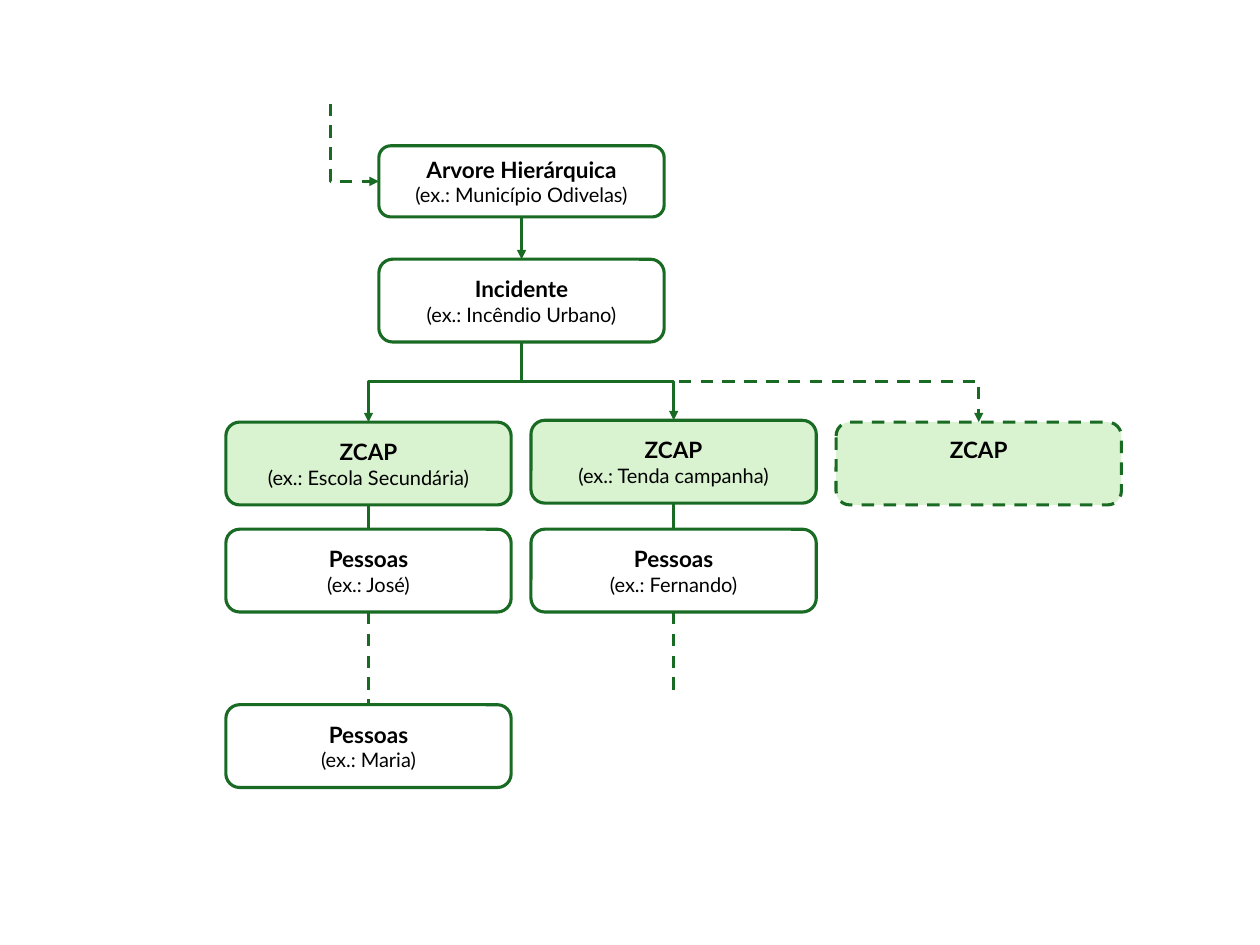
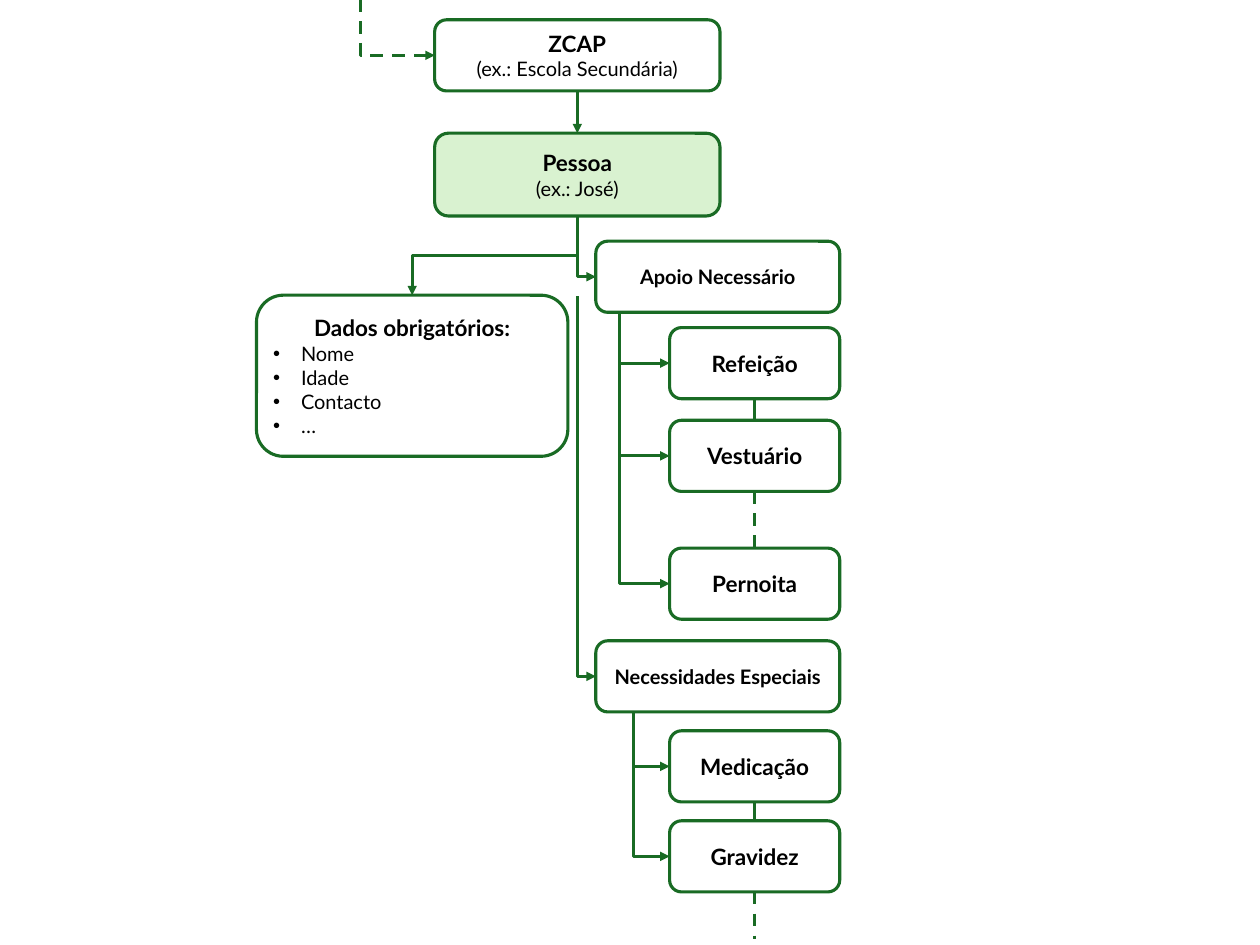
from itertools import pairwise

from lxml.etree import SubElement
from pptx import Presentation
from pptx.dml.color import RGBColor
from pptx.enum.dml import MSO_LINE
from pptx.enum.shapes import MSO_CONNECTOR as CONNECTOR, MSO_SHAPE as SHAPE
from pptx.enum.text import MSO_ANCHOR as ANCHOR, PP_ALIGN as ALIGN
from pptx.oxml.ns import qn
from pptx.util import Inches, Pt

COLORS = {"line": "196B24", "plain": "FFFFFF", "accent": "D9F2D0", "text": "000000"}
FONT = "Lato"
TITLE_SIZE, DETAIL_SIZE = 18, 16
LINE_WIDTH = 2.5
BOX_WIDTH, BOX_HEIGHT, LOW_HEIGHT = 3.17, 0.92, 0.79
TOP, BOTTOM = 0, 2


def point(x, y):
    return Inches(x), Inches(y)


def top_of(shape):
    return shape.left + shape.width // 2, shape.top


def bottom_of(shape):
    return shape.left + shape.width // 2, shape.top + shape.height


def left_of(shape):
    return shape.left, shape.top + shape.height // 2


class Diagram:
    """Draws the boxes and connectors of the tree on the current slide."""

    def __init__(self, presentation):
        self.presentation = presentation
        self.slide = None

    def new_slide(self):
        self.slide = self.presentation.slides.add_slide(self.presentation.slide_layouts[6])

    def style_line(self, line, dashed):
        line.color.rgb = RGBColor.from_string(COLORS["line"])
        line.width = Pt(LINE_WIDTH)
        if dashed:
            line.dash_style = MSO_LINE.DASH

    def add_text(self, paragraph, text, size, bold=False):
        run = paragraph.add_run()
        run.text = text
        run.font.name = FONT
        run.font.size = Pt(size)
        run.font.bold = bold
        run.font.color.rgb = RGBColor.from_string(COLORS["text"])

    def box(self, left, top, title, detail=None, width=BOX_WIDTH, height=BOX_HEIGHT,
            fill="plain", dashed=False, size=TITLE_SIZE):
        shape = self.slide.shapes.add_shape(
            SHAPE.ROUNDED_RECTANGLE, Inches(left), Inches(top), Inches(width), Inches(height))
        shape.shadow.inherit = False
        shape.fill.solid()
        shape.fill.fore_color.rgb = RGBColor.from_string(COLORS[fill])
        self.style_line(shape.line, dashed)
        frame = shape.text_frame
        frame.word_wrap = True
        frame.vertical_anchor = ANCHOR.MIDDLE
        paragraph = frame.paragraphs[0]
        paragraph.alignment = ALIGN.CENTER
        self.add_text(paragraph, title, size, bold=True)
        if detail:
            paragraph.add_line_break()
            self.add_text(paragraph, detail, DETAIL_SIZE)
        return shape

    def bullet(self, shape, text):
        paragraph = shape.text_frame.add_paragraph()
        paragraph.alignment = ALIGN.LEFT
        properties = paragraph._p.get_or_add_pPr()
        properties.set("marL", str(Inches(0.31)))
        properties.set("indent", str(-Inches(0.31)))
        SubElement(properties, qn("a:buFont"), typeface="Arial")
        SubElement(properties, qn("a:buChar"), char="•")
        self.add_text(paragraph, text, DETAIL_SIZE)

    def finish_connector(self, connector, dashed, arrow):
        self.style_line(connector.line, dashed)
        properties = connector.element.spPr
        if arrow:
            SubElement(properties.find(qn("a:ln")), qn("a:tailEnd"), type="triangle")
        SubElement(properties, qn("a:effectLst"))

    def straight(self, upper, lower=None, end=None, dashed=False, arrow=False):
        """Line from the bottom of a box to the top of another, or to a free point."""
        end = end or top_of(lower)
        connector = self.slide.shapes.add_connector(
            CONNECTOR.STRAIGHT, *bottom_of(upper), *end)
        connector.begin_connect(upper, BOTTOM)
        if lower is not None:
            connector.end_connect(lower, TOP)
        self.finish_connector(connector, dashed, arrow)

    def elbow(self, start, end, bend=None, dashed=False):
        """Arrow that leaves downwards; bend is the height share of its level part.

        Without a bend it turns once and arrives sideways."""
        (x1, y1), (x2, y2) = start, end
        width, height = abs(y2 - y1), abs(x2 - x1)
        left, top = (x1 + x2 - width) // 2, (y1 + y2 - height) // 2
        connector = self.slide.shapes.add_connector(
            CONNECTOR.ELBOW, left, top, left + width, top + height)
        properties = connector.element.spPr
        transform = properties.find(qn("a:xfrm"))
        quarter_turns = 3 if x2 > x1 else 1
        transform.set("rot", str(quarter_turns * 90 * 60000))
        if x2 > x1:
            transform.set("flipH", "1")
        geometry = properties.find(qn("a:prstGeom"))
        if bend is None:
            geometry.set("prst", "bentConnector2")
        else:
            guides = geometry.find(qn("a:avLst"))
            if guides is None:
                guides = SubElement(geometry, qn("a:avLst"))
            SubElement(guides, qn("a:gd"), name="adj1", fmla=f"val {round(bend * 100000)}")
        self.finish_connector(connector, dashed, arrow=True)


def incident_slide(diagram):
    diagram.new_slide()
    first, second, third = (2.51 + 3.39 * column for column in range(3))
    root = diagram.box(4.21, 1.62, "Arvore Hierárquica", "(ex.: Município Odivelas)",
                       height=LOW_HEIGHT)
    incident = diagram.box(4.21, 2.88, "Incidente", "(ex.: Incêndio Urbano)")
    school = diagram.box(first, 4.69, "ZCAP", "(ex.: Escola Secundária)", fill="accent")
    tent = diagram.box(second, 4.67, "ZCAP", "(ex.: Tenda campanha)", fill="accent")
    other = diagram.box(third, 4.69, "ZCAP", fill="accent", dashed=True)
    other.text_frame.margin_bottom = Inches(0.35)
    jose = diagram.box(first, 5.88, "Pessoas", "(ex.: José)")
    fernando = diagram.box(second, 5.88, "Pessoas", "(ex.: Fernando)")
    maria = diagram.box(first, 7.83, "Pessoas", "(ex.: Maria)")

    diagram.elbow(point(3.67, 1.15), left_of(root), dashed=True)
    diagram.straight(root, incident, arrow=True)
    for zone, bend, dashed in ((other, 0.49, True), (tent, 0.5, False), (school, 0.49, False)):
        diagram.elbow(bottom_of(incident), top_of(zone), bend, dashed)
    diagram.straight(school, jose)
    diagram.straight(tent, fernando)
    diagram.straight(jose, maria, dashed=True)
    diagram.straight(fernando, end=(bottom_of(fernando)[0], Inches(7.75)), dashed=True)


def person_slide(diagram):
    diagram.new_slide()

    def need_group(top, title, spine, items):
        """Heading box with its items, each reached from a spine below the heading."""
        heading = diagram.box(6.62, top, title, width=2.71, height=LOW_HEIGHT, size=DETAIL_SIZE)
        boxes = [diagram.box(7.44, item_top, item, width=1.89, height=LOW_HEIGHT)
                 for item, item_top in items]
        for box in boxes:
            diagram.elbow((Inches(spine), bottom_of(heading)[1]), left_of(box))
        for upper, lower in pairwise(boxes):
            wide_gap = lower.top - upper.top > Inches(1.2)
            diagram.straight(upper, lower, dashed=wide_gap)
        return heading, boxes[-1]

    zone = diagram.box(4.83, 0.22, "ZCAP", "(ex.: Escola Secundária)", height=LOW_HEIGHT)
    person = diagram.box(4.83, 1.48, "Pessoa", "(ex.: José)", fill="accent")
    required = diagram.box(2.85, 3.28, "Dados obrigatórios:", width=3.46, height=1.79)
    for field in ("Nome", "Idade", "Contacto", "…"):
        diagram.bullet(required, field)
    support, _ = need_group(2.68, "Apoio Necessário", 6.88, (
        ("Refeição", 3.64), ("Vestuário", 4.67), ("Pernoita", 6.09)))
    special, pregnancy = need_group(7.12, "Necessidades Especiais", 7.04, (
        ("Medicação", 8.12), ("Gravidez", 9.12)))

    diagram.elbow(point(4.01, -0.25), left_of(zone), dashed=True)
    diagram.straight(zone, person, arrow=True)
    diagram.elbow(bottom_of(person), top_of(required), bend=0.5)
    diagram.elbow(bottom_of(person), left_of(support))
    diagram.elbow((bottom_of(person)[0], Inches(3.29)), left_of(special))
    diagram.straight(pregnancy, end=(bottom_of(pregnancy)[0], Inches(10.43)), dashed=True)


def main():
    presentation = Presentation()
    presentation.slide_width = Inches(14)
    presentation.slide_height = Inches(10.5)
    diagram = Diagram(presentation)
    incident_slide(diagram)
    person_slide(diagram)
    presentation.save("out.pptx")


if __name__ == "__main__":
    main()
